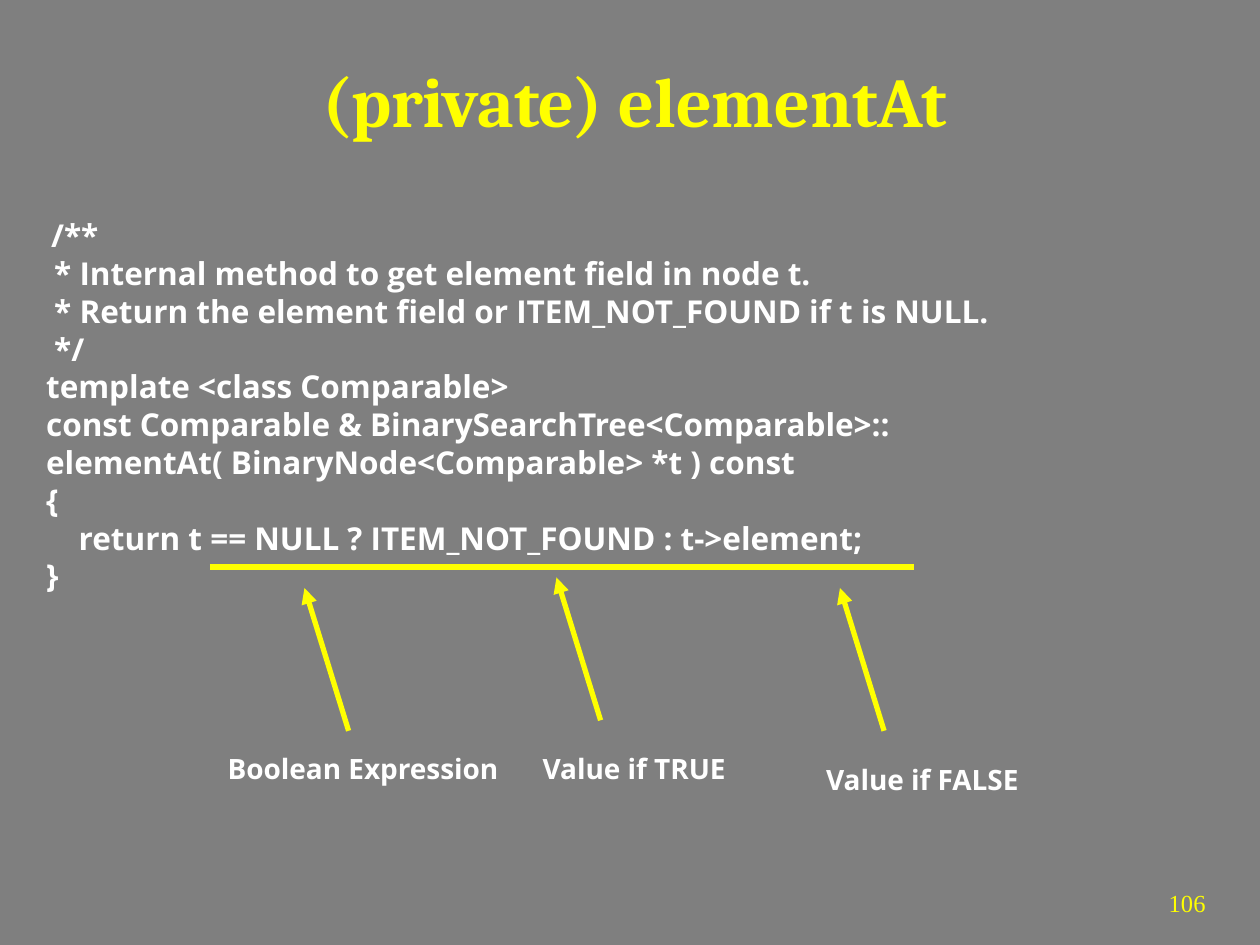
from lxml.etree import SubElement
from pptx import Presentation
from pptx.dml.color import RGBColor
from pptx.enum.shapes import MSO_CONNECTOR
from pptx.enum.text import MSO_ANCHOR, MSO_AUTO_SIZE, PP_ALIGN
from pptx.oxml.ns import qn
from pptx.util import Inches, Pt

YELLOW = "FFFF00"
WHITE = "FFFFFF"
GRAY = "7F7F7F"


def write(para, text, size=18, font="Open Sans", color=WHITE, bold=True, align=PP_ALIGN.LEFT):
    para.alignment = align
    span = para.add_run()
    span.text = text
    span.font.size = Pt(size)
    span.font.name = font
    span.font.bold = bold
    span.font.color.rgb = RGBColor.from_string(color)


def draw_line(page, start, end, arrow=False):
    ends = [int(share * unit) for share in (*start, *end)]
    line = page.shapes.add_connector(MSO_CONNECTOR.STRAIGHT, *ends)
    line.line.color.rgb = RGBColor.from_string(YELLOW)
    line.line.width = Pt(3)
    if arrow:
        SubElement(line.line._get_or_add_ln(), qn("a:tailEnd"), type="triangle")
    SubElement(line._element.spPr, qn("a:effectLst"))


deck = Presentation()
deck.slide_width, deck.slide_height = Inches(10), Inches(7.5)
unit = deck.slide_width // 120
page = deck.slides.add_slide(deck.slide_layouts[5])
page.background.fill.solid()
page.background.fill.fore_color.rgb = RGBColor.from_string(GRAY)

number = page.shapes.add_textbox(104 * unit, 84 * unit, 12 * unit, 6 * unit)
number.text_frame.word_wrap = True
write(number.text_frame.paragraphs[0], "106", size=14, font="Times New Roman",
      color=YELLOW, bold=False, align=PP_ALIGN.RIGHT)

title = page.shapes.title
title.left, title.top, title.width, title.height = 5 * unit, 3 * unit, 111 * unit, 13 * unit
title.text_frame.auto_size = MSO_AUTO_SIZE.NONE
title.text_frame.vertical_anchor = MSO_ANCHOR.MIDDLE
write(title.text_frame.paragraphs[0], "(private) elementAt", size=40, font="Cambria",
      color=YELLOW, align=PP_ALIGN.CENTER)

code_lines = [
    "         * Internal method to get element field in node t.",
    "         * Return the element field or ITEM_NOT_FOUND if t is NULL.",
    "         */",
    "        template <class Comparable>",
    "        const Comparable & BinarySearchTree<Comparable>::",
    "        elementAt( BinaryNode<Comparable> *t ) const",
    "        {",
    "            return t == NULL ? ITEM_NOT_FOUND : t->element;",
    "        }",
]
code = page.shapes.add_textbox(-3 * unit, 20 * unit, 132 * unit, int(37.2 * unit))
code.text_frame.word_wrap = True
write(code.text_frame.paragraphs[0], "           ", size=14)
write(code.text_frame.paragraphs[0], "/**")
for code_line in code_lines:
    write(code.text_frame.add_paragraph(), code_line)

draw_line(page, (20, 54), (87, 54))

callouts = [
    ("Boolean Expression", 20.5, 71, 28.2, 29, 56),
    ("Value if TRUE", 50.5, 71, 19.8, 53, 55),
    ("Value if FALSE", 77.5, 72, 20.8, 80, 56),
]
for text, left, top, width, tip_column, tip_row in callouts:
    label = page.shapes.add_textbox(int(left * unit), top * unit, int(width * unit), int(4.4 * unit))
    label.text_frame.word_wrap = False
    write(label.text_frame.paragraphs[0], text, size=16)
    draw_line(page, (tip_column + 4.2, tip_row + 13.6), (tip_column, tip_row), arrow=True)

deck.save("out.pptx")
